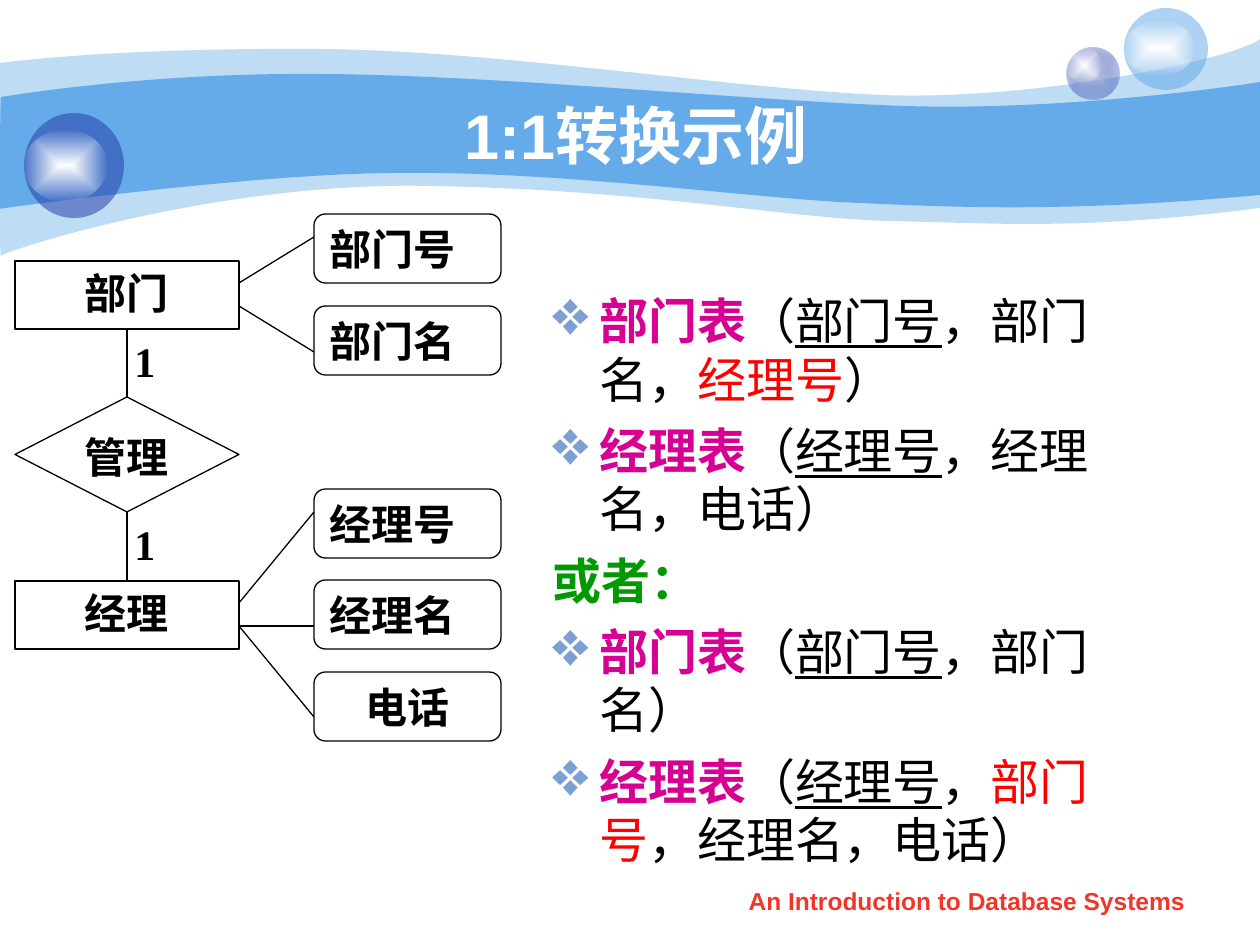
"""Build a slide that maps a 1:1 entity relationship to relational tables."""
import pptx
import pptx.dml.color
import pptx.enum.shapes
import pptx.enum.text
import pptx.oxml
import pptx.oxml.ns
import pptx.util

SCALE = 914400 / 126
COLORS = {
    "white": "FFFFFF", "black": "000000", "sky": "65AAE9", "navy": "233DA9",
    "lilac": "C6CCE8", "glow": "FEFEFE", "bullet": "7DA0D3", "magenta": "D60093",
    "red": "FF0000", "green": "009900", "footer": "F03628",
}
SHAPES = pptx.enum.shapes.MSO_SHAPE
ALIGN = pptx.enum.text.PP_ALIGN
ANCHOR = pptx.enum.text.MSO_ANCHOR
TITLE = {"name": "Arial", "size": 36, "bold": True, "color": "white"}
BODY = {"name": "Arial", "size": 28, "bold": False, "color": "black"}
DIAGRAM = {"name": "Times New Roman", "size": 24, "bold": True, "color": "black"}
FOOTER = {"name": "Arial", "size": 14, "bold": True, "color": "footer"}
TABLE_NAME = {"bold": True, "color": "magenta"}
KEY = {"underline": True}
FOREIGN_KEY = {"color": "red"}

OUTER_WAVE = [
    [(0, 63)],
    [(30, 59), (135, 48), (311, 49)],
    [(486, 49), (725, 88), (881, 95)],
    [(1036, 101), (1235, 59), (1260, 39)],
    [(1260, 208)],
    [(1081, 231), (992, 223), (888, 221)],
    [(784, 218), (649, 190), (432, 186)],
    [(217, 181), (5, 251), (1, 256)],
    [(-1, 262), (0, 95), (0, 63)],
]
INNER_WAVE = [
    [(1, 97)],
    [(3, 97), (139, 73), (312, 74)],
    [(486, 74), (750, 101), (905, 106)],
    [(1060, 111), (1230, 87), (1260, 82)],
    [(1260, 195)],
    [(1075, 212), (964, 208), (859, 203)],
    [(755, 199), (563, 171), (399, 173)],
    [(256, 173), (-3, 209), (-1, 209)],
    [(0, 209), (0, 97), (1, 97)],
]
RELATIONS = [
    [("部门表", TABLE_NAME), ("（", {}), ("部门号", KEY), ("，部门名，", {}),
     ("经理号", FOREIGN_KEY), ("）", {})],
    [("经理表", TABLE_NAME), ("（", {}), ("经理号", KEY), ("，经理名，电话）", {})],
    [("或者：", {"bold": True, "color": "green"})],
    [("部门表", TABLE_NAME), ("（", {}), ("部门号", KEY), ("，部门名）", {})],
    [("经理表", TABLE_NAME), ("（", {}), ("经理号", KEY), ("，", {}),
     ("部门号", FOREIGN_KEY), ("，经理名，电话）", {})],
]


def emu(px):
    return pptx.util.Emu(round(px * SCALE))


def rgb(name):
    return pptx.dml.color.RGBColor.from_string(COLORS[name])


def color_xml(name, alpha=100):
    return f'<a:srgbClr val="{COLORS[name]}"><a:alpha val="{alpha * 1000}"/></a:srgbClr>'


def parse_drawing(tag, content, attributes=""):
    namespace = pptx.oxml.ns.nsdecls("a")
    return pptx.oxml.parse_xml(f"<a:{tag} {namespace} {attributes}>{content}</a:{tag}>")


class SlideBuilder:
    """Hold the drawing style and the slide being built."""

    def __init__(self, slide, line_width=0.75):
        self.slide = slide
        self.line_width = pptx.util.Pt(line_width)

    def paint(self, shape, fill, alpha=100, line=None):
        shape.shadow.inherit = False
        shape.fill.solid()
        shape.fill.fore_color.rgb = rgb(fill)
        if alpha < 100:
            solid = shape._element.spPr.find(pptx.oxml.ns.qn("a:solidFill"))
            solid.getparent().replace(solid, parse_drawing("solidFill", color_xml(fill, alpha)))
        if line:
            shape.line.color.rgb = rgb(line)
            shape.line.width = self.line_width
        else:
            shape.line.fill.background()

    def wave(self, segments, alpha=100):
        points = [point for segment in segments for point in segment]
        builder = self.slide.shapes.build_freeform(*points[0], scale=SCALE)
        builder.add_line_segments(points[1:], close=False)
        shape = builder.convert_to_shape()
        outline = next(shape._element.iter(pptx.oxml.ns.qn("a:path")))
        lines = iter(outline.findall(pptx.oxml.ns.qn("a:lnTo")))
        for segment in segments[1:]:
            parts = [next(lines) for _ in segment]
            if len(parts) == 3:
                curve = parse_drawing("cubicBezTo", "")
                outline.replace(parts[0], curve)
                for part in parts:
                    curve.append(part[0])
                for part in parts[1:]:
                    outline.remove(part)
        outline.append(parse_drawing("close", ""))
        self.paint(shape, "sky", alpha)

    def ellipse(self, box, fill, alpha=100, center=None):
        shape = self.slide.shapes.add_shape(SHAPES.OVAL, *map(emu, box))
        self.paint(shape, fill, alpha)
        if center:
            stops = (f'<a:gs pos="0">{color_xml(center)}</a:gs>'
                     f'<a:gs pos="100000">{color_xml(fill, alpha)}</a:gs>')
            focus = '<a:fillToRect l="50000" t="50000" r="50000" b="50000"/>'
            gradient = parse_drawing(
                "gradFill", f'<a:gsLst>{stops}</a:gsLst><a:path path="rect">{focus}</a:path>',
                'rotWithShape="1"')
            solid = shape._element.spPr.find(pptx.oxml.ns.qn("a:solidFill"))
            solid.getparent().replace(solid, gradient)

    def add_run(self, paragraph, text, style):
        run = paragraph.add_run()
        run.text = text
        values = {**style, "size": pptx.util.Pt(style["size"])}
        run.font.color.rgb = rgb(values.pop("color"))
        for name, value in values.items():
            setattr(run.font, name, value)

    def fill_text(self, shape, text, style, align, anchor):
        frame = shape.text_frame
        frame.word_wrap = True
        frame.vertical_anchor = anchor
        paragraph = frame.paragraphs[0]
        paragraph.alignment = align
        self.add_run(paragraph, text, style)

    def text(self, box, text, style, anchor=ANCHOR.TOP):
        shape = self.slide.shapes.add_textbox(*map(emu, box))
        self.fill_text(shape, text, style, ALIGN.CENTER, anchor)

    def node(self, kind, box, text, align=ALIGN.CENTER, line="black"):
        shape = self.slide.shapes.add_shape(kind, *map(emu, box))
        self.paint(shape, "white", line=line)
        self.fill_text(shape, text, DIAGRAM, align, ANCHOR.TOP)
        return shape

    def connector(self, start, end, joined=None):
        line = self.slide.shapes.add_connector(
            pptx.enum.shapes.MSO_CONNECTOR.STRAIGHT, *map(emu, (*start, *end)))
        line.line.color.rgb = rgb("black")
        line.line.width = self.line_width
        line._element.spPr.append(parse_drawing("effectLst", ""))
        if joined:
            line.begin_connect(joined[0], 2)
            line.end_connect(joined[1], 0)

    def bullets(self, box, paragraphs, indent=47):
        frame = self.slide.shapes.add_textbox(*map(emu, box)).text_frame
        frame.word_wrap = True
        for index, runs in enumerate(paragraphs):
            paragraph = frame.add_paragraph() if index else frame.paragraphs[0]
            properties = paragraph._p.get_or_add_pPr()
            layout = {"marL": emu(indent), "indent": emu(-indent), "hangingPunct": 0}
            for name, value in layout.items():
                properties.set(name, str(int(value)))
            if len(runs) > 1:
                properties.append(parse_drawing("buClr", color_xml("bullet")))
                properties.append(parse_drawing("buSzPct", "", 'val="130000"'))
                properties.append(parse_drawing("buChar", "", 'char="❖"'))
            else:
                properties.append(parse_drawing("buNone", ""))
            if index:
                paragraph.space_before = pptx.util.Pt(7)
            for text, changes in runs:
                self.add_run(paragraph, text, {**BODY, **changes})


def main():
    presentation = pptx.Presentation()
    presentation.slide_width, presentation.slide_height = emu(1260), emu(945)
    builder = SlideBuilder(presentation.slides.add_slide(presentation.slide_layouts[6]))

    builder.wave(OUTER_WAVE, 41)
    builder.wave(INNER_WAVE)
    for ball, shine, fill, alpha, center in (
            ((1067, 48, 53, 51), (1067, 48, 35, 34), "navy", 31, "lilac"),
            ((1124, 8, 84, 82), (1124, 21, 71, 54), "sky", 53, None),
            ((24, 113, 100, 105), (24, 130, 83, 71), "navy", 53, None)):
        builder.ellipse(ball, fill, alpha, center)
        builder.ellipse(shine, "glow", 0, "white")

    builder.text((127, 95, 1018, 78), "1:1转换示例", TITLE, ANCHOR.MIDDLE)
    builder.bullets((540, 284, 656, 587), RELATIONS)

    for top in (512, 329):
        builder.node(SHAPES.RECTANGLE, (89, top, 112, 68), "1", line=None)
    manager, department = [builder.node(SHAPES.RECTANGLE, (15, top, 224, 68), text)
                           for text, top in (("经理", 581), ("部门", 261))]
    manages = builder.node(SHAPES.DIAMOND, (15, 397, 224, 115), "管理")
    builder.connector((127, 329), (127, 397), (department, manages))
    builder.connector((127, 512), (127, 581), (manages, manager))

    for row, text in ((0, "部门号"), (1, "部门名"), (3, "经理号"), (4, "经理名"), (5, "电话")):
        align = ALIGN.CENTER if text == "电话" else ALIGN.JUSTIFY
        builder.node(SHAPES.ROUNDED_RECTANGLE, (314, 214 + round(91.6 * row), 187, 69), text, align)
    for start, end in ((283, 237), (306, 352), (603, 512), (626, 626), (626, 717)):
        builder.connector((239, start), (314, end))

    builder.text((719, 880, 496, 44), "An Introduction to Database Systems", FOOTER)
    presentation.save("out.pptx")


if __name__ == "__main__":
    main()
